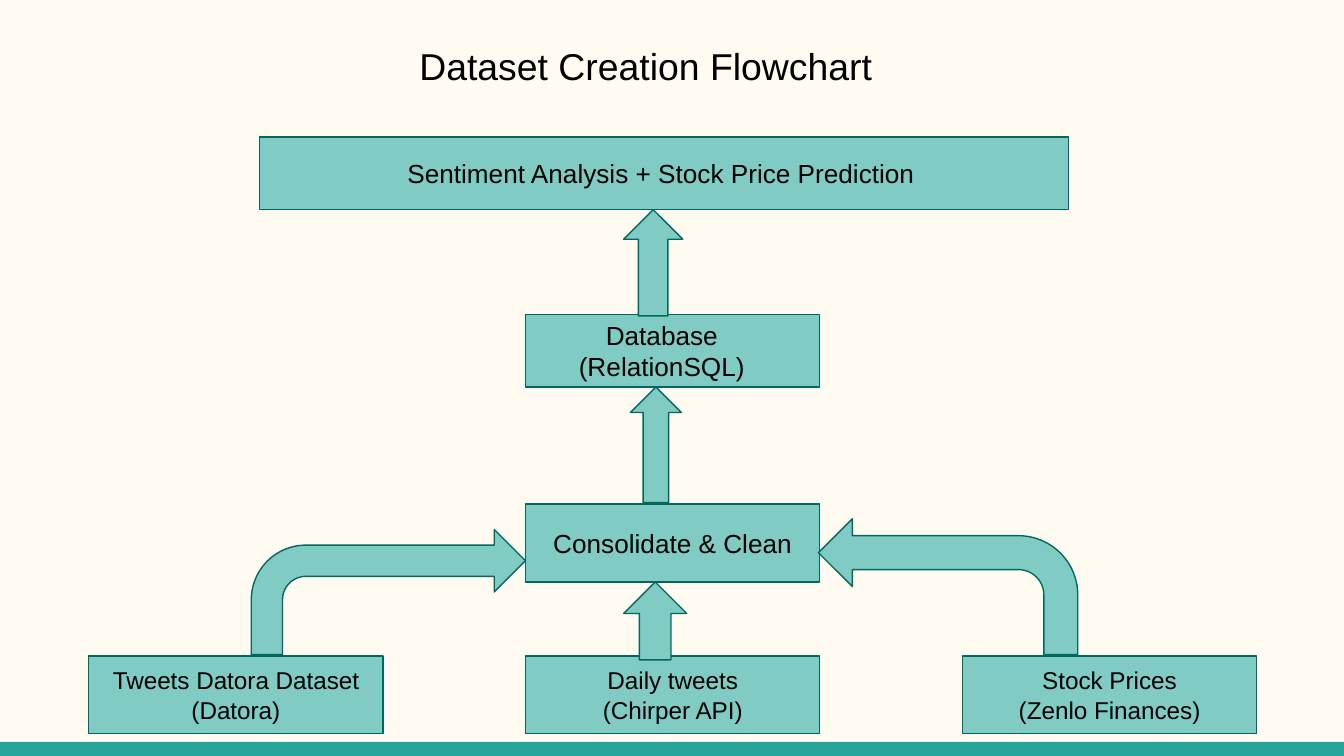
import pptx
import pptx.util
from pptx.dml.color import RGBColor
from pptx.enum.shapes import MSO_SHAPE
from pptx.enum.text import MSO_ANCHOR, MSO_AUTO_SIZE, PP_ALIGN

Inches = pptx.util.Inches

THEME = {
    "font": "Arial",
    "background": "FFFBF0",
    "footer": "26A69A",
    "fill": "80CBC4",
    "line": "00695C",
    "text": "000000",
    "title_size": 20,
    "step_size": 14,
    "source_size": 13,
    "line_width": 0.75,
}

TITLE = "Dataset Creation Flowchart"
SOURCES = [
    "Tweets Datora Dataset\n(Datora)",
    "Daily tweets\n(Chirper API)",
    "Stock Prices\n(Zenlo Finances)",
]
# text, left, top, width, height, right inset
STEPS = [
    ("Consolidate & Clean", 3.91, 3.75, 2.19, 0.58, 0.1),
    ("Database\n(RelationSQL)", 3.91, 2.34, 2.19, 0.54, 0.26),
    ("Sentiment Analysis + Stock Price Prediction", 1.93, 1.02, 6.02, 0.54, 0.14),
]
# preset, left, top, width, height, mirrored
ARROWS = [
    (MSO_SHAPE.UP_ARROW, 4.64, 4.33, 0.47, 0.58, False),
    (MSO_SHAPE.BENT_ARROW, 1.87, 3.94, 2.04, 0.93, False),
    (MSO_SHAPE.BENT_ARROW, 6.09, 3.86, 1.93, 1.01, True),
    (MSO_SHAPE.UP_ARROW, 4.69, 2.88, 0.38, 0.86, False),
    (MSO_SHAPE.UP_ARROW, 4.64, 1.56, 0.44, 0.79, False),
]
SOURCE_LEFT, SOURCE_TOP, SOURCE_PITCH = 0.66, 4.88, 3.25
SOURCE_WIDTH, SOURCE_HEIGHT = 2.19, 0.58
SLIDE_WIDTH = 10
SLIDE_HEIGHT = SLIDE_WIDTH * 9 / 16
FOOTER_TOP = 5.52


def color(name):
    return RGBColor.from_string(THEME[name])


def write(shape, text, size, alignment, right_inset=0.1):
    frame = shape.text_frame
    frame.text = text
    frame.word_wrap = True
    frame.auto_size = MSO_AUTO_SIZE.NONE
    frame.vertical_anchor = MSO_ANCHOR.MIDDLE
    frame.margin_left = frame.margin_top = frame.margin_bottom = Inches(0.1)
    frame.margin_right = Inches(right_inset)
    for paragraph in frame.paragraphs:
        paragraph.alignment = alignment
        for run in paragraph.runs:
            run.font.name = THEME["font"]
            run.font.size = pptx.util.Pt(THEME[size])
            run.font.color.rgb = color("text")


def add_shape(slide, preset, left, top, width, height, fill="fill", outlined=True):
    shape = slide.shapes.add_shape(
        preset, Inches(left), Inches(top), Inches(width), Inches(height))
    shape.shadow.inherit = False
    shape.fill.solid()
    shape.fill.fore_color.rgb = color(fill)
    if outlined:
        shape.line.color.rgb = color("line")
        shape.line.width = pptx.util.Pt(THEME["line_width"])
    else:
        shape.line.fill.background()
    return shape


def main():
    presentation = pptx.Presentation()
    presentation.slide_width = Inches(SLIDE_WIDTH)
    presentation.slide_height = Inches(SLIDE_HEIGHT)
    slide = presentation.slides.add_slide(presentation.slide_layouts[5])
    slide.background.fill.solid()
    slide.background.fill.fore_color.rgb = color("background")

    title = slide.shapes.title
    title.left, title.top = Inches(3.02), Inches(0.22)
    title.width, title.height = Inches(3.91), Inches(0.54)
    write(title, TITLE, "title_size", PP_ALIGN.LEFT)

    add_shape(slide, MSO_SHAPE.RECTANGLE, 0, FOOTER_TOP, SLIDE_WIDTH,
              SLIDE_HEIGHT - FOOTER_TOP, "footer", outlined=False)

    for index, text in enumerate(SOURCES):
        box = add_shape(slide, MSO_SHAPE.RECTANGLE, SOURCE_LEFT + index * SOURCE_PITCH,
                        SOURCE_TOP, SOURCE_WIDTH, SOURCE_HEIGHT)
        write(box, text, "source_size", PP_ALIGN.CENTER)

    for text, left, top, width, height, right_inset in STEPS:
        box = add_shape(slide, MSO_SHAPE.RECTANGLE, left, top, width, height)
        write(box, text, "step_size", PP_ALIGN.CENTER, right_inset)

    for preset, left, top, width, height, mirrored in ARROWS:
        arrow = add_shape(slide, preset, left, top, width, height)
        if mirrored:
            arrow.element.spPr.xfrm.set("flipH", "1")

    presentation.save("out.pptx")


if __name__ == "__main__":
    main()
